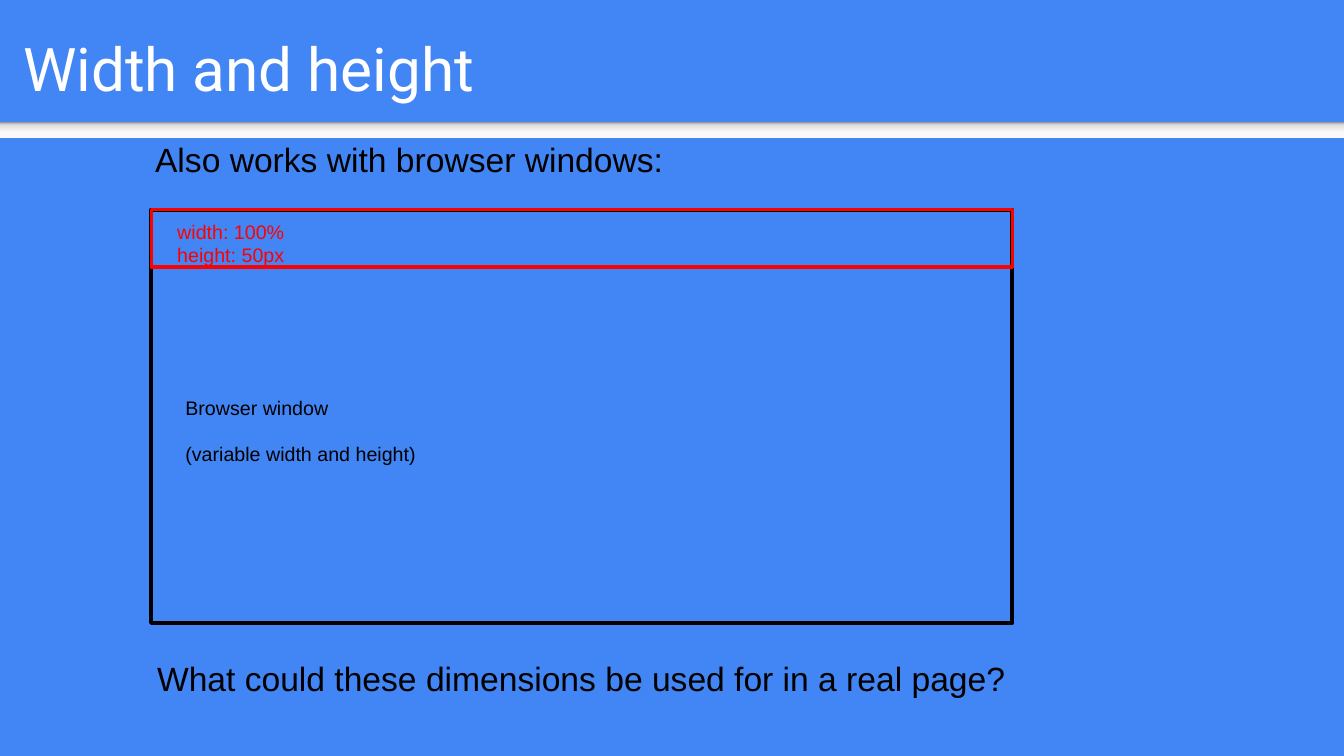
from lxml import etree
from pptx import Presentation
from pptx.dml.color import RGBColor
from pptx.enum.shapes import MSO_SHAPE
from pptx.enum.text import MSO_ANCHOR
from pptx.oxml.ns import qn
from pptx.util import Inches, Pt

RECT = MSO_SHAPE.RECTANGLE
TOP, MIDDLE = MSO_ANCHOR.TOP, MSO_ANCHOR.MIDDLE
WIDTH, HEIGHT = 13.33, 7.5
BLUE, WHITE, BLACK, RED = "4285F4", "FFFFFF", "000000", "FF0000"
STRIP_STOPS = [(0, "F9F9F9"), (36, "F9F9F9"), (80, "DEDEDE"), (100, "999999")]


def rgb(value):
    return RGBColor.from_string(value)


def add_text(slide, box, lines, size, color, font="Arial", anchor=TOP, inset=0.1, gap=0):
    """Place one paragraph per line, with gap points between paragraphs."""
    tf = slide.shapes.add_textbox(*map(Inches, box)).text_frame
    frame = {"word_wrap": True, "vertical_anchor": anchor}
    frame.update({f"margin_{side}": Inches(inset) for side in ("left", "top", "right", "bottom")})
    for name, value in frame.items():
        setattr(tf, name, value)
    for i, line in enumerate(lines):
        p = tf.paragraphs[0] if i == 0 else tf.add_paragraph()
        p.space_before = Pt(gap if i else 0)
        r = p.add_run()
        r.text = line
        for name, value in {"size": Pt(size), "name": font}.items():
            setattr(r.font, name, value)
        r.font.color.rgb = rgb(color)


def add_rect(slide, box):
    sp = slide.shapes.add_shape(RECT, *map(Inches, box))
    sp.shadow.inherit = False
    return sp


def add_frame(slide, box, color, width):
    """Draw an unfilled rectangle with rounded line joins."""
    sp = add_rect(slide, box)
    sp.fill.background()
    sp.line.color.rgb = rgb(color)
    sp.line.width = Pt(width)
    etree.SubElement(sp.line._get_or_add_ln(), qn("a:round"))


def add_strip(slide, box):
    """Draw the gradient bar, darkest along its top edge."""
    sp = add_rect(slide, box)
    sp.line.fill.background()
    sp.fill.gradient()
    sp.fill.gradient_angle = 90
    stops = next(sp._element.spPr.iter(qn("a:gsLst")))
    for stop in list(stops):
        stops.remove(stop)
    for share, color in STRIP_STOPS:
        stop = etree.SubElement(stops, qn("a:gs"), pos=str(share * 1000))
        etree.SubElement(stop, qn("a:srgbClr"), val=color)


def add_header(slide, box):
    left, top, width, height = box
    strip = 0.16
    add_strip(slide, (left, top + height - strip, width, strip))
    add_text(slide, (left + 0.1, top + 0.11, 0.9 * width, 1.12), ["Width and height"],
             43, WHITE, font="Roboto", anchor=MIDDLE, inset=0.13)


def add_browser(slide, box):
    left, top, width, height = box
    banner = 0.57
    add_frame(slide, box, BLACK, 3)
    add_text(slide, (left + 0.24, top + 1.75, 2.71, 0.87),
             ["Browser window", "(variable width and height)"], 14, BLACK, gap=16)
    add_frame(slide, (left, top, width, banner), RED, 2.25)
    add_text(slide, (left + 0.16, top, 2.27, banner), ["width: 100%", "height: 50px"], 14, RED)


def main():
    prs = Presentation()
    prs.slide_width, prs.slide_height = Inches(WIDTH), Inches(HEIGHT)
    slide = prs.slides.add_slide(prs.slide_layouts[6])
    slide.background.fill.solid()
    slide.background.fill.fore_color.rgb = rgb(BLUE)

    add_header(slide, (0, 0, WIDTH, 1.37))
    add_browser(slide, (1.5, 2.08, 8.54, 4.1))
    add_text(slide, (1.44, 1.28, 8.73, 0.48), ["Also works with browser windows:"], 24, BLACK)
    add_text(slide, (1.46, 6.43, 9.9, 0.78),
             ["What could these dimensions be used for in a real page?"], 24, BLACK)
    prs.save("out.pptx")


if __name__ == "__main__":
    main()
